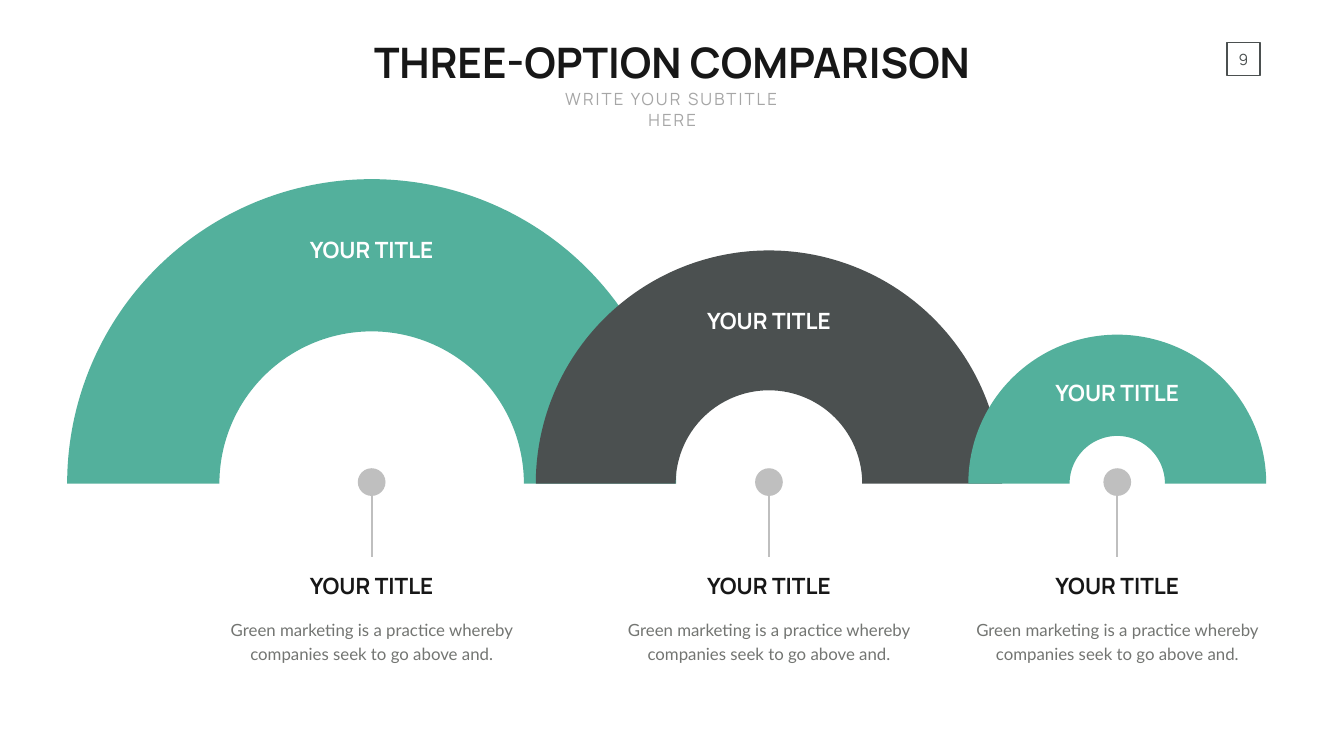
from lxml import etree
from pptx import Presentation
from pptx.dml.color import RGBColor
from pptx.enum.shapes import MSO_CONNECTOR, MSO_SHAPE
from pptx.enum.text import MSO_ANCHOR, PP_ALIGN
from pptx.oxml.ns import qn
from pptx.util import Pt

ARC, DOT, RECT = MSO_SHAPE.BLOCK_ARC, MSO_SHAPE.OVAL, MSO_SHAPE.RECTANGLE
LINE = MSO_CONNECTOR.STRAIGHT
TOP, MID = MSO_ANCHOR.TOP, MSO_ANCHOR.MIDDLE
MIDDLE = PP_ALIGN.CENTER

HUES = {
    "green": "53B09C",
    "slate": "4B5050",
    "gray": "BFBFBF",
    "ink": "171717",
    "pale": "A6A6A6",
    "text": "737572",
    "white": "FFFFFF",
}


def hue(name):
    return RGBColor.from_string(HUES[name])


def write(shape, text, size, color, face="Manrope", bold=False, space=0,
          anchor=TOP, wrap=False, pad=(7.2, 3.6)):
    frame = shape.text_frame
    frame.text = text
    frame.word_wrap = wrap
    frame.vertical_anchor = anchor
    frame.margin_left = frame.margin_right = Pt(pad[0])
    frame.margin_top = frame.margin_bottom = Pt(pad[1])
    para = frame.paragraphs[0]
    para.alignment = MIDDLE
    run = para.runs[0]
    run.font.name = face
    run.font.size = Pt(size)
    run.font.bold = bold
    run.font.color.rgb = hue(color)
    if space:
        run.font._element.set("spc", str(space * 100))
    return para


deck = Presentation()
deck.slide_width, deck.slide_height = Pt(1919.52), Pt(1080)
slide = deck.slides.add_slide(deck.slide_layouts[5])
shapes = slide.shapes

title = shapes.title
title.left, title.top = Pt(509.8), Pt(48.2)
title.width, title.height = Pt(900), Pt(80)
write(title, "THREE-OPTION COMPARISON", 60, "ink", bold=True)

sub = shapes.add_textbox(Pt(764.6), Pt(123.8), Pt(391), Pt(36))
write(sub, "WRITE YOUR SUBTITLE HERE", 24, "pale", space=3, wrap=True)

page = shapes.add_shape(RECT, Pt(1752.5), Pt(60.5), Pt(46.8), Pt(47.5))
page.shadow.inherit = False
page.fill.background()
page.line.color.rgb = hue("slate")
page.line.width = Pt(2)
write(page, "9", 22, "slate", space=3, anchor=MID, pad=(0, 0))

base, mid = 690.8, 688.7
dot_w, cap_w, cap_h, note_w = 39.6, 193, 46, 438.5
note = "Green marketing is a practice whereby companies seek to go above and."
items = [
    (530.8, 869.8, 0.25, "green", 334.1),
    (1098.2, 666, 0.3, "slate", 435.6),
    (1595.7, 425.5, 0.34, "green", 537.8),
]

for x, size, thick, color, cap_y in items:
    arc = shapes.add_shape(ARC, Pt(x - size / 2), Pt(base - size / 2),
                           Pt(size), Pt(size))
    arc.adjustments[0] = 108
    arc.adjustments[1] = 0
    arc.adjustments[2] = thick
    dot = shapes.add_shape(DOT, Pt(x - dot_w / 2), Pt(mid - dot_w / 2),
                           Pt(dot_w), Pt(dot_w))
    for shape, fill in ((arc, color), (dot, "gray")):
        shape.shadow.inherit = False
        shape.fill.solid()
        shape.fill.fore_color.rgb = hue(fill)
        shape.line.fill.background()

    stem = shapes.add_connector(LINE, Pt(x), Pt(mid), Pt(x), Pt(796.3))
    stem.line.color.rgb = hue("gray")
    stem.line.width = Pt(3)
    etree.SubElement(stem._element.spPr, qn("a:effectLst"))

    for y, ink, anchor in ((cap_y, "white", MID), (813.6, "ink", TOP)):
        cap = shapes.add_textbox(Pt(x - cap_w / 2), Pt(y), Pt(cap_w), Pt(cap_h))
        write(cap, "YOUR TITLE", 32, ink, bold=True, anchor=anchor)

    body = shapes.add_textbox(Pt(x - note_w / 2), Pt(870.5), Pt(note_w), Pt(84.2))
    para = write(body, note, 24, "text", face="Lato", wrap=True, pad=(17.3, 8.6))
    para.line_spacing = Pt(35)

deck.save("out.pptx")
